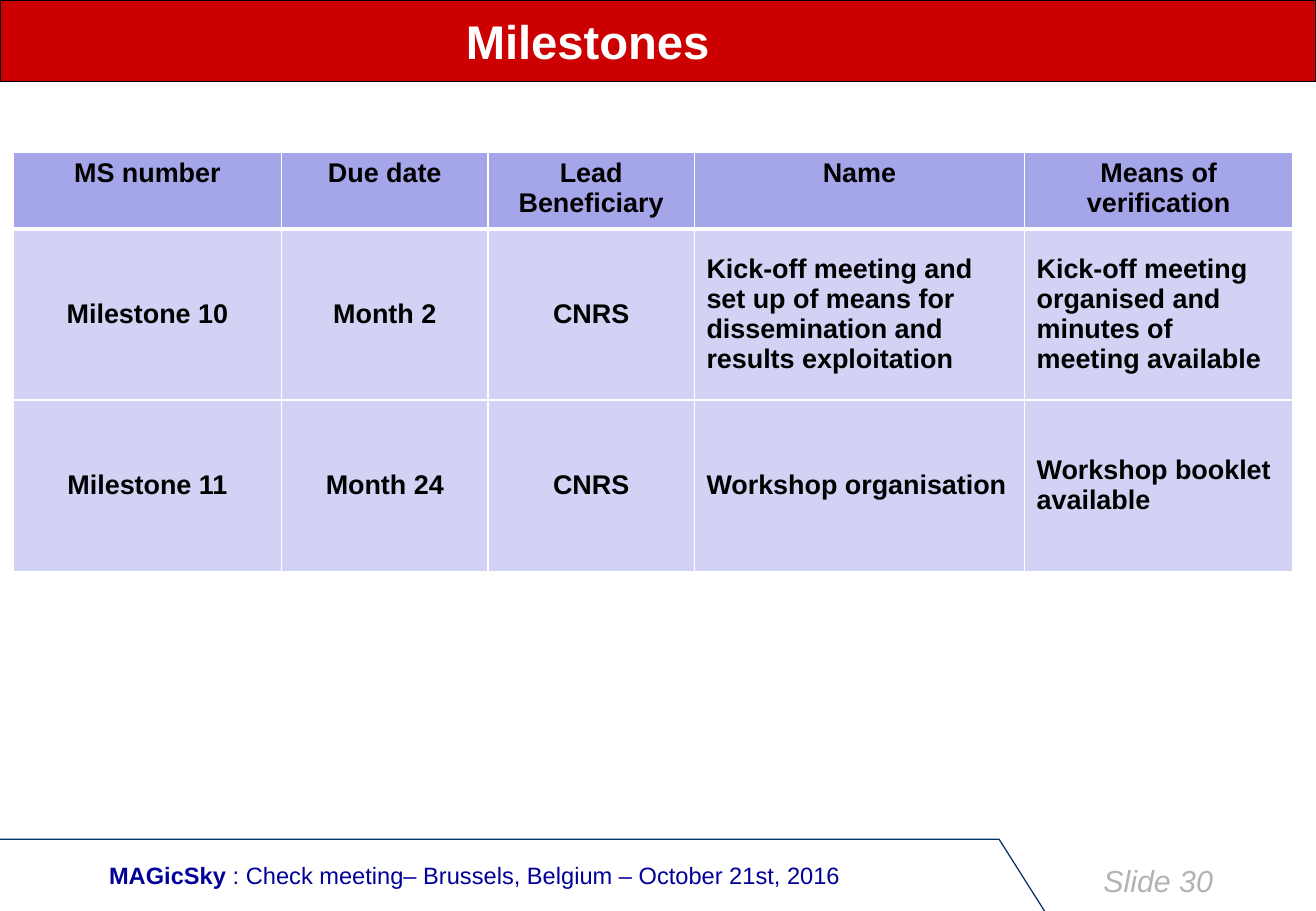
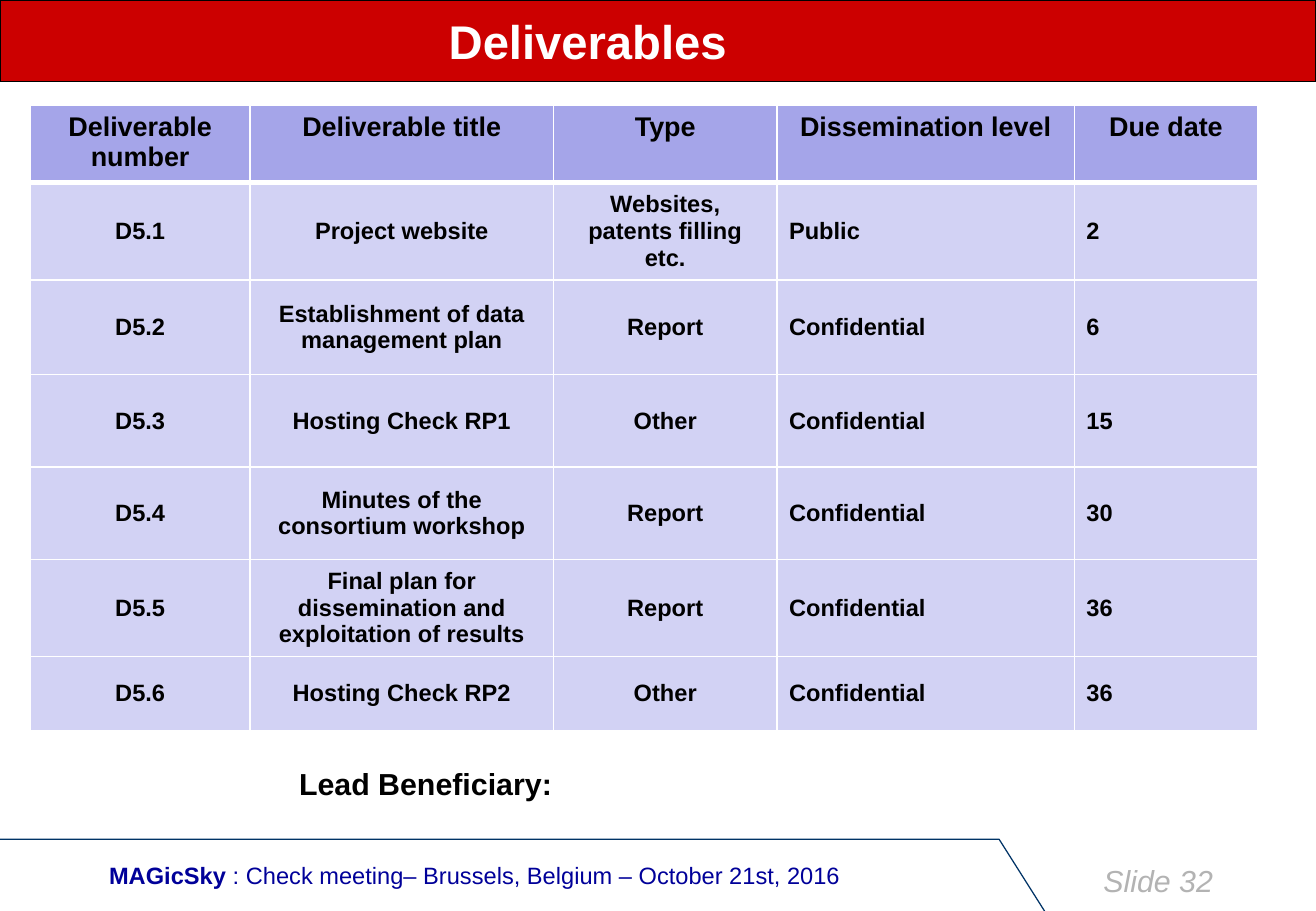
"""Build the milestones and deliverables table slides."""
from lxml import etree
from pptx import Presentation
from pptx.dml.color import RGBColor
from pptx.enum.shapes import MSO_SHAPE
from pptx.enum.text import MSO_ANCHOR, PP_ALIGN
from pptx.oxml.ns import qn
from pptx.util import Inches, Pt

RECT = MSO_SHAPE.RECTANGLE
TOP, MIDDLE = MSO_ANCHOR.TOP, MSO_ANCHOR.MIDDLE
LEFT, CENTER = PP_ALIGN.LEFT, PP_ALIGN.CENTER
HEX = {
    "band": "CC0000", "edge": "000000", "rule": "003366", "white": "FFFFFF",
    "foot": "000099", "page": "B3B3B3", "text": "000000",
    "head": "A5A5E9", "body": "D2D2F4",
}
RGB = {name: RGBColor.from_string(code) for name, code in HEX.items()}
FONTS = {
    "title": {"size": Pt(28), "bold": True},
    "page": {"size": Pt(18), "italic": True},
    "foot": {"size": Pt(14)},
    "head": {"size": Pt(16), "bold": True},
    "small": {"size": Pt(14), "bold": True},
    "note": {"size": Pt(18), "bold": True},
}
RULE = [(8.23, 6.91), (8.61, 7.51), (10.82, 7.51)]
PAGES = [
    {
        "title": "Milestones", "page": 30, "at": (0.11, 1.25),
        "cols": [2.21, 1.7, 1.7, 2.72, 2.21],
        "rows": [0.59, 1.41, 1.41], "font": "head",
        "cells": [
            ["MS number", "Due date", "Lead Beneficiary", "Name",
             "Means of verification"],
            ["Milestone 10", "Month 2", "CNRS",
             "Kick-off meeting and set up of means for dissemination and "
             "results exploitation",
             "Kick-off meeting organised and minutes of meeting available"],
            ["Milestone 11", "Month 24", "CNRS", "Workshop organisation",
             "Workshop booklet\navailable"],
        ],
    },
    {
        "title": "Deliverables", "page": 32, "at": (0.25, 0.87),
        "cols": [1.81, 2.5, 1.84, 2.45, 1.51],
        "rows": [0.59, 0.76, 0.78, 0.76, 0.76, 0.76, 0.61], "font": "small",
        "cells": [
            ["Deliverable number", "Deliverable title", "Type",
             "Dissemination level", "Due date"],
            ["D5.1", "Project website", "Websites, patents filling etc.",
             "Public", "2"],
            ["D5.2", "Establishment of data management plan", "Report",
             "Confidential", "6"],
            ["D5.3", "Hosting Check RP1", "Other", "Confidential", "15"],
            ["D5.4", "Minutes of the consortium workshop", "Report",
             "Confidential", "30"],
            ["D5.5", "Final plan for dissemination and exploitation of results",
             "Report", "Confidential", "36"],
            ["D5.6", "Hosting Check RP2", "Other", "Confidential", "36"],
        ],
        "note": "Lead Beneficiary: ",
    },
]


def write(frame, text, font, color, align=LEFT, anchor=MIDDLE):
    frame.text = text
    frame.vertical_anchor = anchor
    for para in frame.paragraphs:
        para.alignment = align
        para.font.name = "Arial"
        para.font.color.rgb = RGB[color]
        for key, value in FONTS[font].items():
            setattr(para.font, key, value)


def border(cell, head):
    props = cell._tc.get_or_add_tcPr()
    for side in "LRTB":
        width = Pt(3) if head and side == "B" else Pt(1)
        line = etree.SubElement(props, qn("a:ln" + side), w=str(width))
        fill = etree.SubElement(line, qn("a:solidFill"))
        etree.SubElement(fill, qn("a:srgbClr"), val=HEX["white"])


deck = Presentation()
deck.slide_width, deck.slide_height = Inches(10.84), Inches(7.5)

for page in PAGES:
    slide = deck.slides.add_slide(deck.slide_layouts[6])
    shapes = slide.shapes

    path = shapes.build_freeform(0, Inches(6.91))
    path.add_line_segments([(Inches(x), Inches(y)) for x, y in RULE], close=False)
    rule = path.convert_to_shape()
    rule.fill.background()
    band = shapes.add_shape(RECT, 0, 0, deck.slide_width, Inches(0.67))
    band.fill.solid()
    band.fill.fore_color.rgb = RGB["band"]
    for shape, color in ((rule, "rule"), (band, "edge")):
        shape.shadow.inherit = False
        shape.line.color.rgb = RGB[color]
        shape.line.width = Pt(0.75)

    label = shapes.add_textbox(Inches(8.99), Inches(7.05), Inches(1.38), Inches(0.4))
    label.text_frame.word_wrap = True
    write(label.text_frame, f"Slide {page['page']}", "page", "page", anchor=TOP)

    foot = shapes.add_textbox(Inches(0.8), Inches(7.04), Inches(6.42), Inches(0.33))
    foot.fill.solid()
    foot.fill.fore_color.rgb = RGB["white"]
    foot.text_frame.word_wrap = True
    write(foot.text_frame, "MAGicSky", "foot", "foot")
    para = foot.text_frame.paragraphs[0]
    para.runs[0].font.bold = True
    para.add_run().text = " : Check meeting– Brussels, Belgium – October 21st, 2016"

    title = shapes.add_textbox(0, 0, Inches(9.68), Inches(0.67))
    title.text_frame.word_wrap = True
    write(title.text_frame, page["title"], "title", "white", CENTER)

    cols, rows = page["cols"], page["rows"]
    left, top = page["at"]
    table = shapes.add_table(
        len(rows), len(cols), Inches(left), Inches(top),
        Inches(sum(cols)), Inches(sum(rows))).table
    table.horz_banding = False
    for col, width in zip(table.columns, cols):
        col.width = Inches(width)
    for r, (row, height) in enumerate(zip(table.rows, rows)):
        row.height = Inches(height)
        head = r == 0
        for c, cell in enumerate(row.cells):
            border(cell, head)
            cell.fill.solid()
            cell.fill.fore_color.rgb = RGB["head" if head else "body"]
            cell.vertical_anchor = TOP if head else MIDDLE
            write(cell.text_frame, page["cells"][r][c],
                  "head" if head else page["font"], "text",
                  CENTER if head or c < 3 else LEFT, cell.vertical_anchor)

    if "note" in page:
        note = shapes.add_textbox(Inches(2.35), Inches(6.25), Inches(2.38), Inches(0.4))
        note.text_frame.word_wrap = False
        write(note.text_frame, page["note"], "note", "text", CENTER, TOP)

deck.save("out.pptx")
